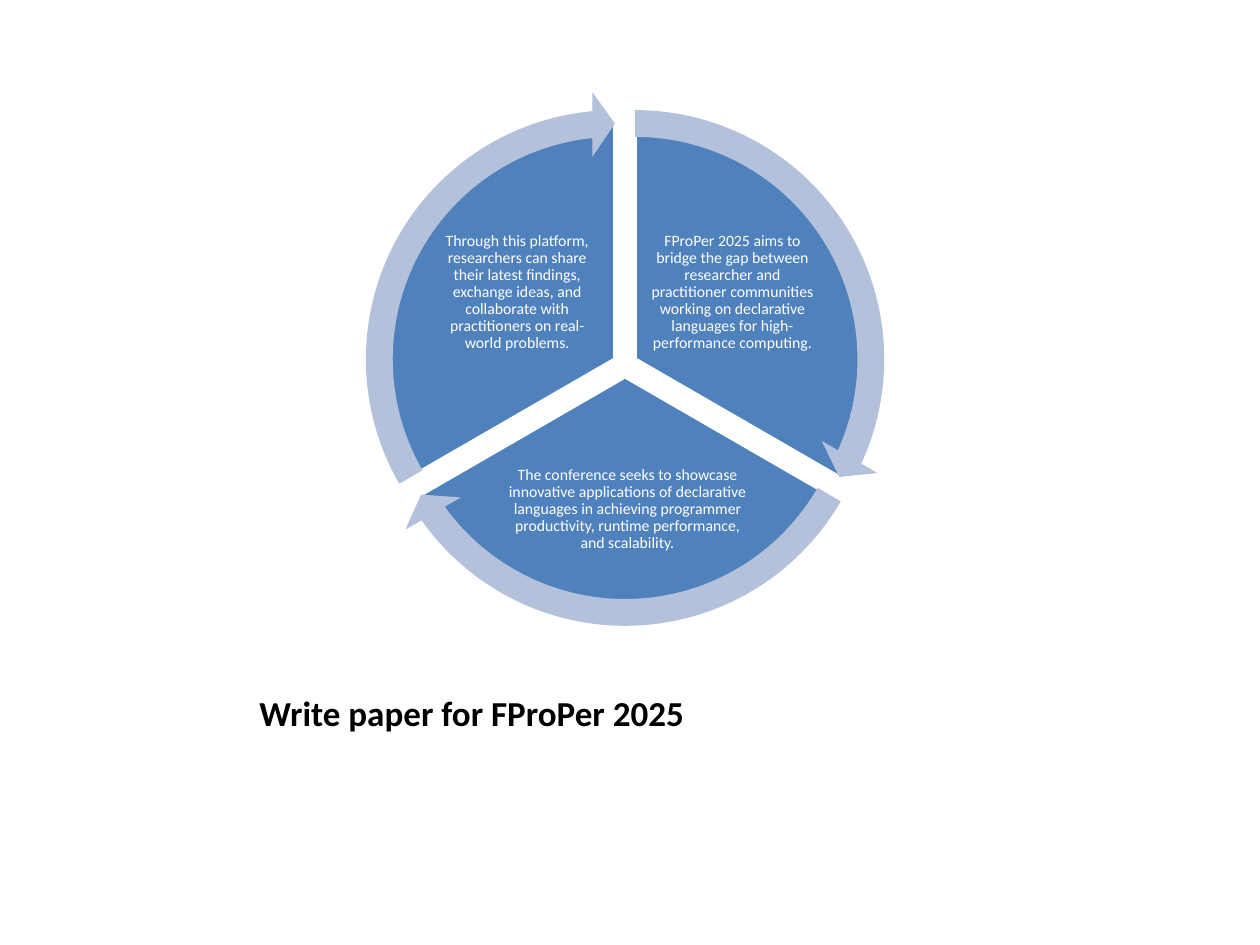
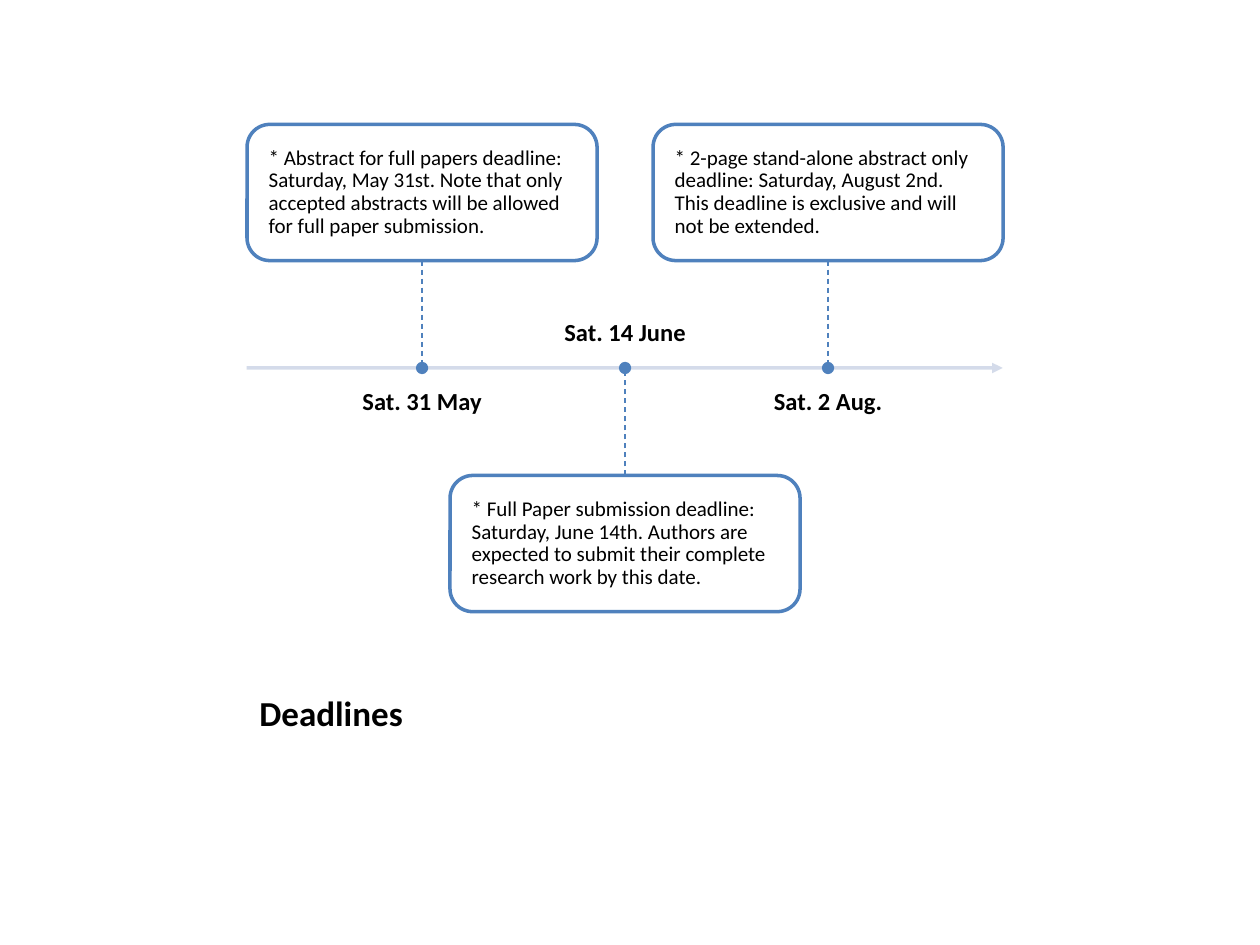
"""Build two conference slides: a three-part cycle and a deadline timeline."""
import math

from pptx import Presentation
from pptx import util as u
from pptx.dml import color
from pptx.enum import dml, shapes, text
from pptx.oxml import ns, xmlchemy

CYCLE_TITLE = "Write paper for FProPer 2025"
CYCLE = [
    dict(start=270, label=(418.5, 167, 97, 81),
         words="FProPer 2025 aims to bridge the gap between researcher and practitioner "
               "communities working on declarative languages for high-performance computing."),
    dict(start=30, label=(358.5, 291, 145, 71),
         words="The conference seeks to showcase innovative applications of declarative "
               "languages in achieving programmer productivity, runtime performance, "
               "and scalability."),
    dict(start=150, label=(295.5, 167, 97, 81),
         words="Through this platform, researchers can share their latest findings, exchange "
               "ideas, and collaborate with practitioners on real-world problems."),
]
DEADLINES_TITLE = "Deadlines"
DEADLINES = [
    ("Sat. 31 May", "* Abstract for full papers deadline: Saturday, May 31st. Note that only "
     "accepted abstracts will be allowed for full paper submission."),
    ("Sat. 14 June", "* Full Paper submission deadline: Saturday, June 14th. Authors are "
     "expected to submit their complete research work by this date."),
    ("Sat. 2 Aug.", "* 2-page stand-alone abstract only deadline: Saturday, August 2nd. "
     "This deadline is exclusive and will not be extended."),
]

BLUE, PALE, AXIS, WHITE, BLACK = "4F81BD", "B3C1DB", "D0D8E8", "FFFFFF", "000000"
KIND, ANCHOR, ALIGN = shapes.MSO_SHAPE, text.MSO_ANCHOR, text.PP_ALIGN
TITLE_AREA = (141, 378, 432, 44.6)
MIDDLE = 357.2
HUB_Y, HUB_RADIUS, PIE_SIZE, RING_SIZE = 208.6, 6.7, 272, 306
DEGREE = 0.6
AXIS_Y, AXIS_LEFT, AXIS_RIGHT, STEP = 210.3, 141, 573, 116
CARD_WIDTH, CARD_HEIGHT, CARD_GAP = 200, 77.8, 61.4
DATE_WIDTH, DATE_HEIGHT, DATE_GAP = 176, 36.6, 12
DOT = 5


def rgb(code):
    return color.RGBColor.from_string(code)


def assign(target, values):
    for name, value in values.items():
        setattr(target, name, value)


def around(x, y, width, height):
    return x - width / 2, y - height / 2, width, height


def write(box, words, font, frame=None, para=None):
    assign(box.text_frame, {"word_wrap": True, **(frame or {})})
    paragraph = box.text_frame.paragraphs[0]
    assign(paragraph, para or {})
    span = paragraph.add_run()
    span.text = words
    size, code, bold = font
    assign(span.font, dict(name="Calibri", size=u.Pt(size), bold=bold))
    span.font.color.rgb = rgb(code)


def insets(points):
    return {f"margin_{side}": u.Pt(points) for side in ("left", "right", "top", "bottom")}


def add_label(page, area, words, font, anchor, margin):
    box = page.shapes.add_textbox(*map(u.Pt, area))
    write(box, words, font, {"vertical_anchor": anchor, **insets(margin)},
          dict(alignment=ALIGN.CENTER, line_spacing=0.9))


def add_part(page, kind, area, fill, line=None, adjust=()):
    part = page.shapes.add_shape(kind, *map(u.Pt, area))
    part.shadow.inherit = False
    part.fill.solid()
    part.fill.fore_color.rgb = rgb(fill)
    if line:
        part.line.color.rgb = rgb(line)
        part.line.width = u.Pt(2)
    else:
        part.line.fill.background()
    for index, value in enumerate(adjust):
        part.adjustments[index] = value
    return part


def add_line(page, start, end, code, width):
    line = page.shapes.add_connector(shapes.MSO_CONNECTOR.STRAIGHT, *map(u.Pt, start + end))
    line.line.color.rgb = rgb(code)
    line.line.width = u.Pt(width)
    line._element.spPr.append(xmlchemy.OxmlElement("a:effectLst"))
    return line


def fade(part, percent):
    tint = next(part._element.spPr.iter(ns.qn("a:srgbClr")))
    alpha = xmlchemy.OxmlElement("a:alpha")
    alpha.set("val", str(percent * 1000))
    tint.append(alpha)


def add_page(deck, title):
    page = deck.slides.add_slide(deck.slide_layouts[5])
    box = page.shapes.title
    assign(box, dict(zip(("left", "top", "width", "height"), map(u.Pt, TITLE_AREA))))
    write(box, title, (20, BLACK, True), dict(vertical_anchor=ANCHOR.BOTTOM),
          dict(alignment=ALIGN.LEFT))
    return page


def build_cycle(deck):
    page = add_page(deck, CYCLE_TITLE)
    arrows = []
    for sector in CYCLE:
        start, end = sector["start"], (sector["start"] + 120) % 360
        bearing = math.radians(start + 60)
        x = MIDDLE + HUB_RADIUS * math.cos(bearing)
        y = HUB_Y + HUB_RADIUS * math.sin(bearing)
        add_part(page, KIND.PIE, around(x, y, PIE_SIZE, PIE_SIZE), BLUE, WHITE,
                 (start * DEGREE, end * DEGREE))
        add_label(page, around(*sector["label"]), sector["words"], (9, WHITE, False),
                  ANCHOR.MIDDLE, 1)
        arrows.append((around(x, y, RING_SIZE, RING_SIZE),
                       (0.05, 3.28, end * DEGREE - 3.28, start * DEGREE, 0.06)))
    for area, adjust in arrows:
        add_part(page, KIND.CIRCULAR_ARROW, area, PALE, adjust=adjust)


def build_timeline(deck):
    page = add_page(deck, DEADLINES_TITLE)
    axis = add_line(page, (AXIS_LEFT, AXIS_Y), (AXIS_RIGHT, AXIS_Y), AXIS, 2)
    fade(axis, 90)
    head = xmlchemy.OxmlElement("a:tailEnd")
    head.set("type", "triangle")
    axis.line._get_or_add_ln().append(head)
    for index, (date, words) in enumerate(DEADLINES):
        x = MIDDLE + (index - 1) * STEP
        side = 1 if index % 2 else -1
        edge = AXIS_Y + side * CARD_GAP
        card = add_part(page, KIND.ROUNDED_RECTANGLE,
                        around(x, edge + side * CARD_HEIGHT / 2, CARD_WIDTH, CARD_HEIGHT),
                        WHITE, BLUE)
        fade(card, 90)
        write(card, words, (12, BLACK, False),
              {"vertical_anchor": ANCHOR.MIDDLE, **insets(8.6)},
              dict(alignment=ALIGN.LEFT, line_spacing=0.9))
        stem = add_line(page, (x, edge), (x, AXIS_Y), BLUE, 0.75)
        stem.line.dash_style = dml.MSO_LINE.DASH
        date_y = AXIS_Y - side * (DATE_GAP + DATE_HEIGHT / 2)
        add_label(page, around(x, date_y, DATE_WIDTH, DATE_HEIGHT), date, (14, BLACK, True),
                  ANCHOR.BOTTOM if side > 0 else ANCHOR.TOP, 0)
        add_part(page, KIND.OVAL, around(x, AXIS_Y, DOT, DOT), BLUE, BLUE)


def main():
    deck = Presentation()
    assign(deck, dict(slide_width=u.Pt(720), slide_height=u.Pt(540)))
    build_cycle(deck)
    build_timeline(deck)
    deck.save("out.pptx")


if __name__ == "__main__":
    main()
